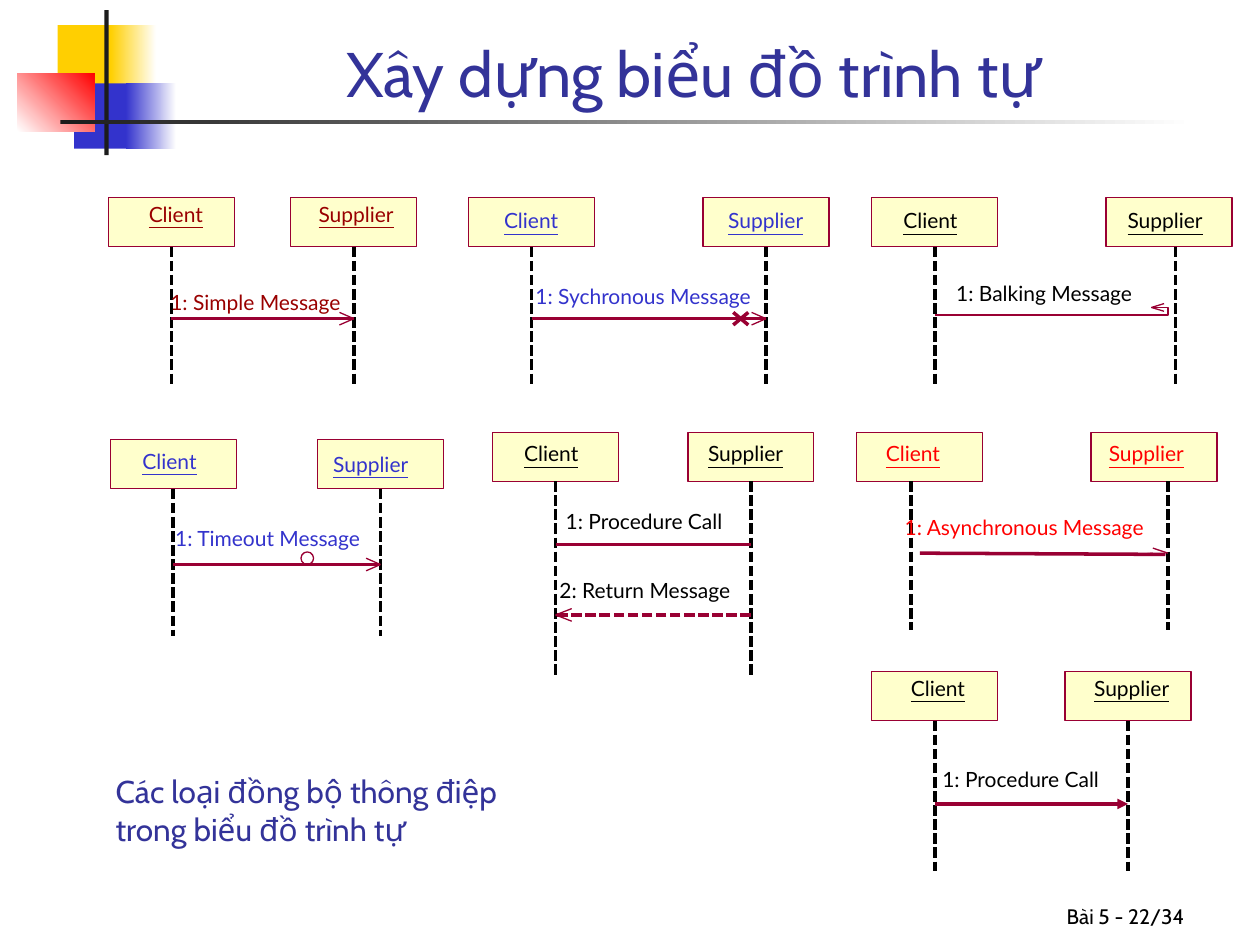
from pptx import Presentation
from pptx.dml.color import RGBColor
from pptx.enum.dml import MSO_LINE
from pptx.enum.shapes import MSO_CONNECTOR, MSO_SHAPE as SHAPE
from pptx.enum.text import MSO_ANCHOR as ANCHOR, PP_ALIGN as ALIGN
from pptx.oxml.ns import qn
from pptx.util import Pt
from lxml.etree import SubElement

YELLOW = RGBColor(0xFF, 0xCF, 0x01)
BLUE = RGBColor(0x33, 0x33, 0xCC)
RED = RGBColor(0xFF, 0x00, 0x00)
WHITE = RGBColor(0xFF, 0xFF, 0xFF)
CHARCOAL = RGBColor(0x1C, 0x1C, 0x1C)
INDIGO = RGBColor(0x33, 0x33, 0x99)
CREAM = RGBColor(0xFF, 0xFF, 0xCC)
MAROON = RGBColor(0x99, 0x00, 0x33)
DARK_RED = RGBColor(0x99, 0x00, 0x00)
BLACK = RGBColor(0x00, 0x00, 0x00)

HEAD_W, HEAD_H = 72, 28
ROW_1, ROW_2, ROW_3 = 113, 247, 383.8


def add_text(shapes, text, left, top, width, height, size=12, font="Lato",
             color=BLACK, underline=False, align=ALIGN.LEFT, anchor=ANCHOR.TOP,
             inset=(0, 0), wrap=False):
    box = shapes.add_textbox(Pt(left), Pt(top), Pt(width), Pt(height))
    frame = box.text_frame
    frame.word_wrap = wrap
    frame.vertical_anchor = anchor
    frame.margin_left = frame.margin_right = Pt(inset[0])
    frame.margin_top = frame.margin_bottom = Pt(inset[1])
    frame.text = text
    for paragraph in frame.paragraphs:
        paragraph.alignment = align
        for run in paragraph.runs:
            run.font.size = Pt(size)
            run.font.name = font
            run.font.color.rgb = color
            run.font.underline = underline


def add_block(shapes, left, top, width, height, fill=None, fade=None, angle=0,
              outline=None, kind=SHAPE.RECTANGLE):
    block = shapes.add_shape(kind, Pt(left), Pt(top), Pt(width), Pt(height))
    block.shadow.inherit = False
    if fade is not None:
        block.fill.gradient()
        block.fill.gradient_angle = angle
        for stop, color in zip(block.fill.gradient_stops, (fill, fade)):
            stop.color.rgb = color
    elif fill is not None:
        block.fill.solid()
        block.fill.fore_color.rgb = fill
    else:
        block.fill.background()
    if outline is None:
        block.line.fill.background()
    else:
        block.line.color.rgb = outline
        block.line.width = Pt(0)
    return block


def add_line(shapes, x1, y1, x2, y2, color=MAROON, width=0, dashed=False, tail=False):
    line = shapes.add_connector(MSO_CONNECTOR.STRAIGHT, Pt(x1), Pt(y1), Pt(x2), Pt(y2))
    line.line.color.rgb = color
    line.line.width = Pt(width)
    if dashed:
        line.line.dash_style = MSO_LINE.SQUARE_DOT
    properties = line.element.spPr
    if tail:
        SubElement(properties.find(qn("a:ln")), qn("a:tailEnd"), type="triangle")
    SubElement(properties, qn("a:effectLst"))
    return line


def open_head(shapes, tip_x, tip_y, length=-8.2, spread=3.6):
    for side in (spread, -spread):
        add_line(shapes, tip_x, tip_y, tip_x + length, tip_y + side, width=0.75)


def simple_arrow(shapes, start, end, y):
    add_line(shapes, start, y, end, y)
    open_head(shapes, end, y)


def synchronous_arrow(shapes, start, end, y):
    simple_arrow(shapes, start, end, y)
    cross = end - 14.4
    for rise in (3.6, -3.6):
        add_line(shapes, cross - 4.3, y + rise, cross + 4.3, y - rise)


def timeout_arrow(shapes, start, end, y):
    simple_arrow(shapes, start, end, y)
    add_block(shapes, end - 45.4, y - 7.2, 7.2, 7.2, outline=MAROON, kind=SHAPE.OVAL)


def balking_arrow(shapes, start, end, y):
    turn, tip, back = end - 4.3, end - 13.7, y - 4.3
    builder = shapes.build_freeform(Pt(start), Pt(y))
    builder.add_line_segments(
        [(Pt(x), Pt(z)) for x, z in ((turn, y), (turn, back), (tip, back))], close=False)
    hook = builder.convert_to_shape()
    hook.shadow.inherit = False
    hook.fill.background()
    hook.line.color.rgb = MAROON
    hook.line.width = Pt(0)
    open_head(shapes, tip, back, 7.2, 2.2)


def asynchronous_arrow(shapes, start, end, y):
    add_line(shapes, start + 5, y, end - 1.4, y + 0.7)
    add_line(shapes, end, y, end - 8.6, y - 2.9, width=0.75)
    add_line(shapes, end - 8.6, y, end - 16.5, y + 0.7, width=0.75)


def call_line(shapes, start, end, y):
    add_line(shapes, start, y, end, y)


def return_arrow(shapes, start, end, y):
    add_line(shapes, end, y, start, y, dashed=True)
    open_head(shapes, start, y, 9.2)


def filled_arrow(shapes, start, end, y):
    add_line(shapes, start, y, end, y, tail=True)


def sequence_diagram(slide, left, top, gap, color, labels, messages,
                     stems=(36, 36), drop=78.5):
    shapes = slide.shapes.add_group_shape().shapes
    heads = (("Client", 32.4, 0), ("Supplier", 46.8, gap))
    stem_xs = []
    for (name, width, offset), (dx, dy), stem in zip(heads, labels, stems):
        head_left, bottom = left + offset, top + HEAD_H
        stem_x = head_left + stem
        head = add_block(shapes, head_left, top, HEAD_W, HEAD_H, CREAM, outline=MAROON)
        add_text(shapes, name, head_left + dx, top + dy, width, 14.4,
                 color=color, underline=True)
        lifeline = add_line(shapes, stem_x, bottom, stem_x, bottom + drop, BLACK, dashed=True)
        if stem == HEAD_W / 2:
            lifeline.begin_connect(head, 2)
        stem_xs.append(stem_x)
    for text, dx, dy, width, arrow, arrow_dy in messages:
        arrow(shapes, *stem_xs, top + arrow_dy)
        add_text(shapes, text, left + dx, top + dy, width, 14.4, color=color)


def decoration(slide, left, top):
    for dx, dy, width, height, fill, fade, angle in (
            (23, 8.6, 34.6, 37.4, YELLOW, None, 0),
            (53.3, 8.6, 26, 37.4, YELLOW, WHITE, 0),
            (32.4, 41.8, 33.1, 37.4, BLUE, None, 0),
            (62, 41.8, 28.8, 37.4, BLUE, WHITE, 0),
            (0, 36, 44, 33.1, WHITE, RED, 45),
            (49.7, 0, 2.4, 82.8, CHARCOAL, None, 0),
            (24.5, 62.6, 648, 2.4, CHARCOAL, WHITE, 0)):
        add_block(slide.shapes, left + dx, top + dy, width, height, fill, fade, angle)


def main():
    deck = Presentation()
    deck.slide_width, deck.slide_height = Pt(720), Pt(540)
    slide = deck.slides.add_slide(deck.slide_layouts[6])

    decoration(slide, 10, 5.8)
    add_text(slide.shapes, "Bài 5 - 22/34", 534.2, 498.2, 149.8, 36, font="Cabin",
             align=ALIGN.RIGHT, anchor=ANCHOR.BOTTOM, inset=(7.2, 3.6), wrap=True)
    add_text(slide.shapes, "Xây dựng biểu đồ trình tự", 90.7, 5.8, 611.3, 60.5, size=36,
             font="Cabin", color=INDIGO, align=ALIGN.CENTER, anchor=ANCHOR.BOTTOM,
             inset=(7.2, 3.6), wrap=True)

    sequence_diagram(slide, 62, ROW_1, 104.2, DARK_RED, ((23, 2.2), (15.8, 2.2)),
                     [("1: Simple Message", 35.3, 52.6, 104.4, simple_arrow, 69.1)])
    sequence_diagram(slide, 267.8, ROW_1, 133.9, BLUE, ((20.2, 5.8), (14.4, 5.8)),
                     [("1: Sychronous Message", 38.2, 49, 132.5, synchronous_arrow, 69.1)])
    sequence_diagram(slide, 498.2, ROW_1, 133.9, BLACK, ((18, 5.8), (12.2, 5.8)),
                     [("1: Balking Message", 48.2, 47.5, 108, balking_arrow, 67)],
                     stems=(36, 39.6))
    sequence_diagram(slide, 63, 251.3, 118.4, BLUE, ((18.4, 5), (9, 6.5)),
                     [("1: Timeout Message", 37.1, 49, 113, timeout_arrow, 71.3)], drop=84.2)
    sequence_diagram(slide, 489.6, ROW_2, 133.9, RED, ((16.6, 5), (10.1, 5)),
                     [("1: Asynchronous Message", 27.4, 46.8, 146.9,
                       asynchronous_arrow, 69.1)], stems=(31, 43.9), drop=85)
    sequence_diagram(slide, 281.5, ROW_2, 111.6, BLACK, ((18, 5), (11.5, 5)),
                     [("1: Procedure Call", 41.8, 43.9, 95.8, call_line, 64.1),
                      ("2: Return Message", 38.2, 82.8, 105.1, return_arrow, 104.4)],
                     drop=111.6)
    sequence_diagram(slide, 498.2, ROW_3, 110.4, BLACK, ((22.3, 2.2), (16.6, 2.2)),
                     [("1: Procedure Call", 40.3, 54, 95.8, filled_arrow, 75.6)], drop=85.7)

    add_text(slide.shapes, "Các loại đồng bộ thông điệp\ntrong biểu đồ trình tự",
             59, 437.8, 252, 50.4, size=18, font="Cabin", color=INDIGO, inset=(7.2, 3.6))
    deck.save("out.pptx")


if __name__ == "__main__":
    main()
